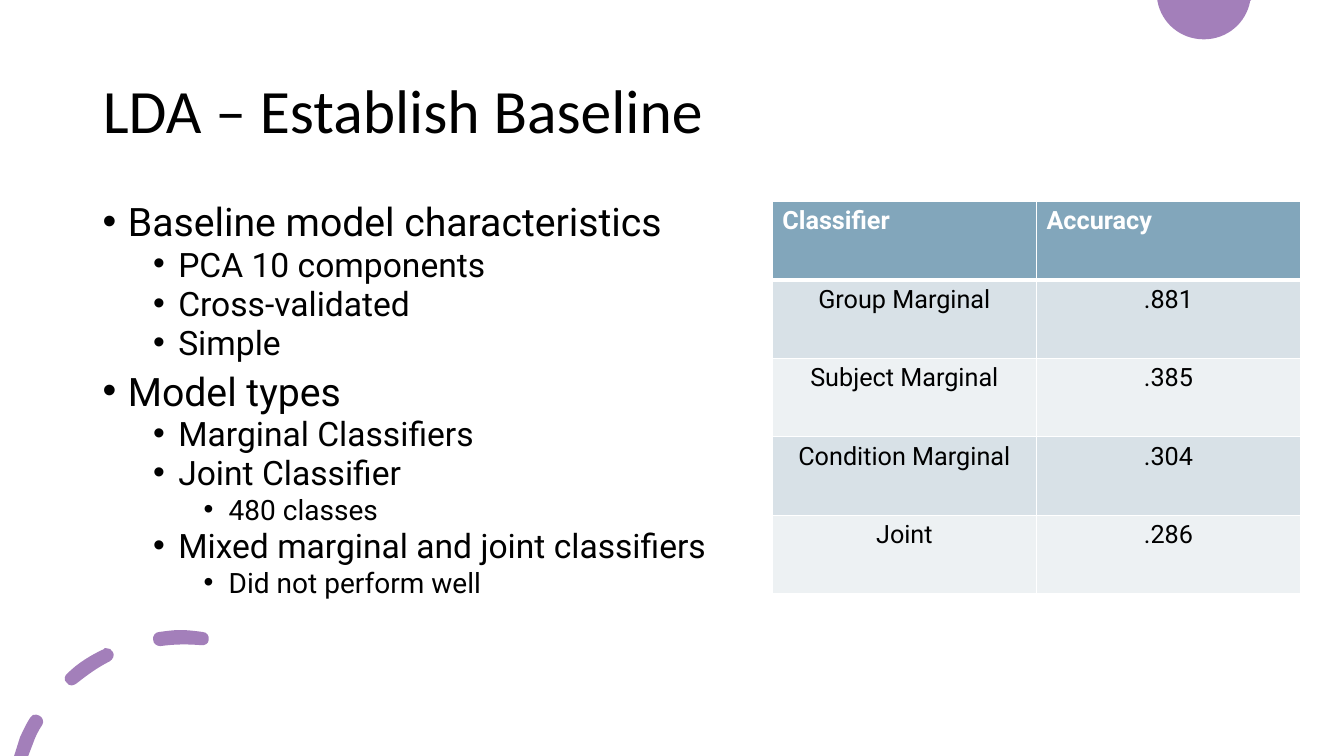
import pptx
import pptx.util
import pptx.dml.color
import pptx.enum.text
import pptx.oxml
import pptx.oxml.ns

Inches, Pt = pptx.util.Inches, pptx.util.Pt
RGBColor = pptx.dml.color.RGBColor
ALIGN = pptx.enum.text.PP_ALIGN
BLACK = RGBColor(0x00, 0x00, 0x00)
WHITE = RGBColor(0xFF, 0xFF, 0xFF)
PURPLE = RGBColor(0xA3, 0x7F, 0xBA)
HEAD = RGBColor(0x82, 0xA6, 0xBB)
BANDS = [RGBColor(0xD8, 0xE1, 0xE7), RGBColor(0xED, 0xF1, 0xF3)]

deck = pptx.Presentation()
deck.slide_width, deck.slide_height = Inches(13.33), Inches(7.5)
slide = deck.slides.add_slide(deck.slide_layouts[5])


def add_run(para, text, size, font, color, bold=False):
    run = para.add_run()
    run.text = text
    run.font.size, run.font.name, run.font.bold = Pt(size), font, bold
    run.font.color.rgb = color


def draw(loops):
    """Fill closed loops; a step of 2 numbers is a line, of 6 a Bezier curve."""
    pen = None
    for start, *steps in loops:
        x, y = Inches(start[0]), Inches(start[1])
        if pen is None:
            pen = slide.shapes.build_freeform(x, y, scale=1.0)
        else:
            pen.move_to(x, y)
        nums = [Inches(n) for step in steps for n in step]
        pen.add_line_segments(list(zip(nums[::2], nums[1::2])), close=True)
    shape = pen.convert_to_shape()
    shape.shadow.inherit = False
    shape.fill.solid()
    shape.fill.fore_color.rgb = PURPLE
    shape.line.fill.background()

    # Join each three segments of a curve into one Bezier
    parts = iter(list(shape._element.iter(pptx.oxml.ns.qn("a:lnTo"))))
    for step in [step for loop in loops for step in loop[1:]]:
        first = next(parts)
        if len(step) == 6:
            first.tag = pptx.oxml.ns.qn("a:cubicBezTo")
            for rest in (next(parts), next(parts)):
                first.append(rest[0])
                rest.getparent().remove(rest)


# Cut circle at the top
draw([[(11.48, 0), (12.41, 0), (12.4, 0.01), (12.36, 0.23, 12.17, 0.39, 11.94, 0.39),
       (11.71, 0.39, 11.52, 0.23, 11.48, 0.01)]])

# Dashed arc at the lower left
draw([
    [(0.36, 7.09), (0.34, 7.08, 0.31, 7.1, 0.3, 7.12), (0.26, 7.18, 0.23, 7.25, 0.2, 7.31),
     (0.14, 7.5), (0.28, 7.5), (0.33, 7.37), (0.35, 7.31, 0.38, 7.25, 0.42, 7.19),
     (0.44, 7.16, 0.42, 7.11, 0.39, 7.1), (0.38, 7.09, 0.37, 7.09, 0.36, 7.09)],
    [(1.05, 6.43), (1.04, 6.43, 1.03, 6.43, 1.03, 6.44), (0.9, 6.5, 0.77, 6.58, 0.67, 6.68),
     (0.64, 6.7, 0.63, 6.75, 0.66, 6.77), (0.67, 6.79, 0.69, 6.8, 0.71, 6.8),
     (0.73, 6.8, 0.74, 6.79, 0.76, 6.78), (0.86, 6.7, 0.97, 6.62, 1.09, 6.56),
     (1.12, 6.54, 1.14, 6.5, 1.12, 6.47), (1.11, 6.44, 1.08, 6.43, 1.05, 6.43)],
    [(1.79, 6.25), (1.72, 6.25, 1.65, 6.26, 1.58, 6.27), (1.54, 6.27, 1.51, 6.31, 1.52, 6.35),
     (1.52, 6.38, 1.55, 6.41, 1.59, 6.41), (1.73, 6.39, 1.86, 6.39, 1.99, 6.4),
     (2.03, 6.41, 2.07, 6.38, 2.07, 6.35), (2.08, 6.31, 2.05, 6.27, 2.01, 6.27),
     (1.94, 6.26, 1.86, 6.25, 1.79, 6.25)],
])

# Title
title = slide.shapes.title
title.left, title.top = Inches(0.92), Inches(0.4)
title.width, title.height = Inches(11.5), Inches(1.45)
frame = title.text_frame
frame.auto_size = pptx.enum.text.MSO_AUTO_SIZE.NONE
frame.vertical_anchor = pptx.enum.text.MSO_ANCHOR.MIDDLE
para = frame.paragraphs[0]
para.alignment, para.line_spacing = ALIGN.LEFT, 0.9
add_run(para, "LDA – Establish Baseline", 44, "Calibri", BLACK)

# Bullet list: level and text
points = [
    (0, "Baseline model characteristics"),
    (1, "PCA 10 components"),
    (1, "Cross-validated"),
    (1, "Simple"),
    (0, "Model types"),
    (1, "Marginal Classifiers"),
    (1, "Joint Classifier"),
    (2, "480 classes"),
    (1, "Mixed marginal and joint classifiers"),
    (2, "Did not perform well"),
]
box = slide.shapes.add_textbox(Inches(0.92), Inches(2), Inches(6.59), Inches(4.22))
frame = box.text_frame
frame.word_wrap = True
for i, (level, text) in enumerate(points):
    para = frame.add_paragraph() if i else frame.paragraphs[0]
    props = para._p.get_or_add_pPr()
    props.set("marL", str(Inches(0.25 + 0.5 * level)))
    props.set("indent", str(Inches(-0.25)))
    for tag, key, value in [("a:buFont", "typeface", "Arial"), ("a:buChar", "char", "•")]:
        mark = pptx.oxml.parse_xml(f"<{tag} {pptx.oxml.ns.nsdecls('a')}/>")
        mark.set(key, value)
        props.append(mark)
    para.level, para.line_spacing = level, 0.8
    if i:
        para.space_before = Pt(5 if level else 10)
    add_run(para, text, 28 - 4 * level, "Roboto", BLACK)

# Accuracy table
rows = [
    ("Classifier", "Accuracy"),
    ("Group Marginal", ".881"),
    ("Subject Marginal", ".385"),
    ("Condition Marginal", ".304"),
    ("Joint", ".286"),
]
table = slide.shapes.add_table(len(rows), 2, Inches(7.66), Inches(2),
                               Inches(5.24), Inches(3.89)).table
for r, row in enumerate(rows):
    for c, text in enumerate(row):
        cell = table.cell(r, c)
        # White rules, thick below the head
        for side in "LRTB":
            thick = (r, side) in [(0, "B"), (1, "T")]
            cell._tc.get_or_add_tcPr().append(pptx.oxml.parse_xml(
                f'<a:ln{side} {pptx.oxml.ns.nsdecls("a")} w="{Pt(3 if thick else 1)}">'
                f'<a:solidFill><a:srgbClr val="{WHITE}"/></a:solidFill></a:ln{side}>'))
        cell.fill.solid()
        cell.fill.fore_color.rgb = BANDS[(r - 1) % 2] if r else HEAD
        para = cell.text_frame.paragraphs[0]
        para.alignment = ALIGN.CENTER if r else ALIGN.LEFT
        add_run(para, text, 18, "Roboto", BLACK if r else WHITE, bold=not r)

deck.save("out.pptx")
